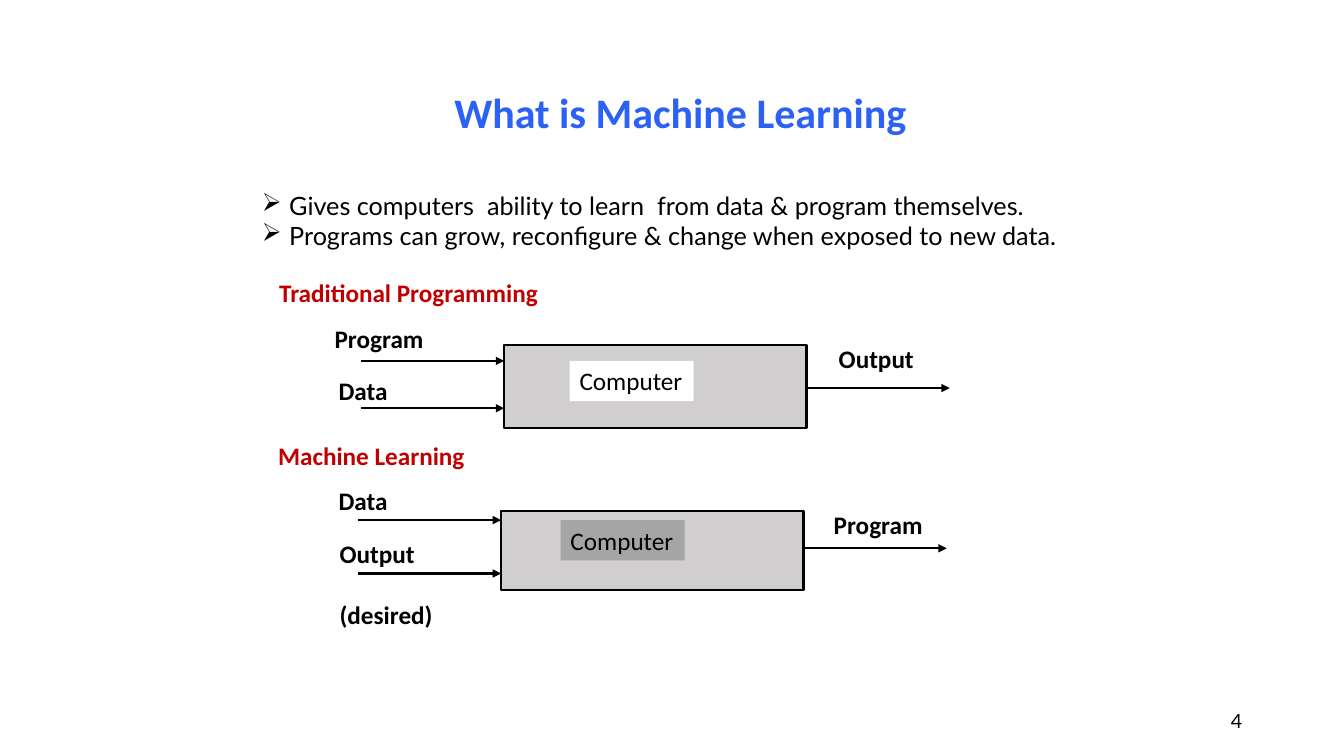
"""Build a slide that contrasts traditional programming with machine learning."""
import pptx
import pptx.util
import pptx.dml.color
import pptx.enum.shapes
import pptx.enum.text
import pptx.oxml
import pptx.oxml.ns
from lxml import etree

RGB = pptx.dml.color.RGBColor
BLACK = RGB(0, 0, 0)
WHITE = RGB(255, 255, 255)
BLUE = RGB(0x2C, 0x61, 0xF6)
RED = RGB(0xC0, 0, 0)
PALE = RGB(0xD0, 0xCE, 0xCE)
GRAY = RGB(0xA5, 0xA5, 0xA5)
ALIGN = pptx.enum.text.PP_ALIGN
ANCHOR = pptx.enum.text.MSO_ANCHOR
PX = 9144

TITLE = "What is Machine Learning"
POINTS = [
    "Gives computers  ability to learn  from data & program themselves.",
    "Programs can grow, reconfigure & change when exposed to new data.",
]
PAGE = "4"
FLOWS = [
    {
        "head": ("Traditional Programming", 267, 270),
        "box": (500, 342, 83),
        "chip": (565, 358, WHITE),
        "ins": [358, 405],
        "out": 385,
        "tags": [("Program", 322, 316), ("Data", 326, 367), ("Output", 822, 336)],
    },
    {
        "head": ("Machine Learning", 266, 432),
        "box": (497, 507, 78),
        "chip": (556, 516, GRAY),
        "ins": [516, 569],
        "out": 544,
        "tags": [("Data", 326, 477), ("Output\n(desired)", 327, 529), ("Program", 817, 500)],
    },
]
BOX_W, ARROW_W, TAG_W, HEAD_W, CHIP_W, ROW_H = 300, 142, 142, 463, 123, 40


def scale(*sizes):
    return [size * PX for size in sizes]


def style(para, size=18, color=BLACK, bold=False, face="Calibri"):
    font = para.font
    font.name, font.size, font.bold = face, pptx.util.Pt(size), bold
    font.color.rgb = color


def write(slide, text, area, **look):
    box = slide.shapes.add_textbox(*scale(*area))
    frame = box.text_frame
    frame.word_wrap = True
    frame.text = text
    for para in frame.paragraphs:
        style(para, **look)
    return box


def arrow(slide, left, top):
    kind = pptx.enum.shapes.MSO_CONNECTOR.STRAIGHT
    link = slide.shapes.add_connector(kind, *scale(left, top, left + ARROW_W, top))
    link.line.color.rgb = BLACK
    link.line.width = pptx.util.Pt(1.5)
    tail = etree.SubElement(link.line._get_or_add_ln(), pptx.oxml.ns.qn("a:tailEnd"))
    tail.set("type", "triangle")
    etree.SubElement(link._element.spPr, pptx.oxml.ns.qn("a:effectLst"))


def bullet(para, indent):
    props = para._p.get_or_add_pPr()
    props.set("marL", str(indent * PX))
    props.set("indent", str(-indent * PX))
    mark = etree.SubElement(props, pptx.oxml.ns.qn("a:buChar"))
    mark.set("char", "➢")


def draw_title(slide):
    title = slide.shapes.title
    title.left, title.top, title.width, title.height = scale(250, 33, 850, 108)
    frame = title.text_frame
    frame.text = TITLE
    frame.vertical_anchor = ANCHOR.BOTTOM
    para = frame.paragraphs[0]
    para.alignment = ALIGN.CENTER
    para.line_spacing = pptx.util.Pt(32.4)
    style(para, 30, BLUE, True)


def draw_flow(slide, flow):
    text, left, top = flow["head"]
    write(slide, text, (left, top, HEAD_W, ROW_H), color=RED, bold=True)

    left, top, height = flow["box"]
    kind = pptx.enum.shapes.MSO_SHAPE.RECTANGLE
    box = slide.shapes.add_shape(kind, *scale(left, top, BOX_W, height))
    box.shadow.inherit = False
    box.fill.solid()
    box.fill.fore_color.rgb = PALE
    box.line.color.rgb = BLACK
    box.line.width = pptx.util.Pt(1.5)
    for row in flow["ins"]:
        arrow(slide, left - ARROW_W, row)
    arrow(slide, left + BOX_W, flow["out"])

    left, top, color = flow["chip"]
    chip = write(slide, "Computer", (left, top, CHIP_W, ROW_H))
    chip.text_frame.word_wrap = False
    chip.fill.solid()
    chip.fill.fore_color.rgb = color

    for text, left, top in flow["tags"]:
        tag = write(slide, text, (left, top, TAG_W, ROW_H), bold=True)
        for para in tag.text_frame.paragraphs[1:]:
            para.space_before = pptx.util.Pt(22)


def main():
    deck = pptx.Presentation()
    deck.slide_width, deck.slide_height = scale(1333, 750)
    slide = deck.slides.add_slide(deck.slide_layouts[5])
    draw_title(slide)

    points = write(slide, "\n".join(POINTS), (250, 184, 871, 71), face="Lato")
    for para in points.text_frame.paragraphs:
        para.alignment = ALIGN.JUSTIFY
        bullet(para, 27)

    for flow in FLOWS:
        draw_flow(slide, flow)

    page = write(slide, PAGE, (942, 695, 300, ROW_H), size=14, face="Lato")
    page.text_frame.vertical_anchor = ANCHOR.MIDDLE
    page.text_frame.paragraphs[0].alignment = ALIGN.RIGHT
    deck.save("out.pptx")


if __name__ == "__main__":
    main()
